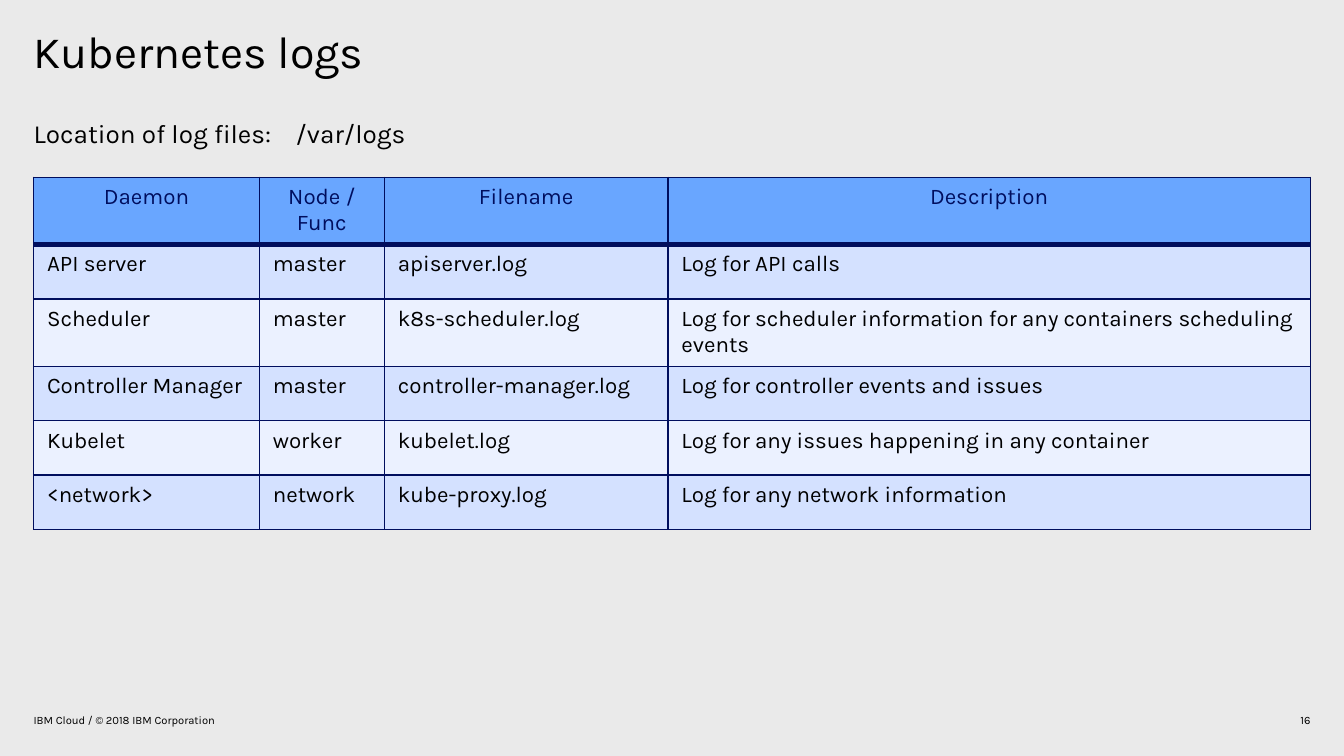
"""Build the Kubernetes logs slide with its table of log files."""
from lxml import etree
from pptx import Presentation
from pptx.dml.color import RGBColor
from pptx.enum.text import MSO_ANCHOR, PP_ALIGN
from pptx.oxml.ns import qn
from pptx.util import Inches, Pt

LEFT, CENTER, RIGHT = PP_ALIGN.LEFT, PP_ALIGN.CENTER, PP_ALIGN.RIGHT
TOP, MIDDLE = MSO_ANCHOR.TOP, MSO_ANCHOR.MIDDLE

THEME = {
    "font": "Karla",
    "background": "EAEAEA",
    "text": "000000",
    "navy": "000E5E",
    "header": "69A6FF",
    "bands": ("D4E1FF", "EBF1FF"),
    "title": 24,
    "body": 14,
    "table": 12,
    "footer": 6,
}

SLIDE_WIDTH = 10
SLIDE_HEIGHT = SLIDE_WIDTH * 9 / 16
TEXTS = [
    {"text": "Kubernetes logs", "at": (0.25, 0.22, 7.25, 0.51), "size": "title",
     "line_spacing": 0.9},
    {"text": "Location of log files:\t/var/logs", "at": (0.25, 0.87, 8.55, 0.35),
     "size": "body", "tab": 1.95},
    {"text": "IBM Cloud / © 2018 IBM Corporation", "at": (0.25, 5.28, 7, 0.15),
     "size": "footer", "anchor": MIDDLE},
    {"text": "16", "at": (7.5, 5.28, 2.25, 0.15), "size": "footer",
     "anchor": MIDDLE, "alignment": RIGHT},
]

TABLE_ORIGIN = (0.25, 1.32)
TABLE_HEIGHT = 2.43
COLUMN_WIDTHS = (1.68, 0.93, 2.11, 4.78)
THIN, THICK = 1, 3
LOG_ROWS = [
    ("Daemon", "Node / Func", "Filename", "Description"),
    ("API server", "master", "apiserver.log", "Log for API calls"),
    ("Scheduler", "master", "k8s-scheduler.log",
     "Log for scheduler information for any containers scheduling events"),
    ("Controller Manager", "master", "controller-manager.log",
     "Log for controller events and issues"),
    ("Kubelet", "worker", "kubelet.log",
     "Log for any issues happening in any container"),
    ("<network>", "network", "kube-proxy.log", "Log for any network information"),
]


def set_attributes(target, values):
    for name, value in values.items():
        setattr(target, name, value)


def set_font(para, size, color):
    set_attributes(para.font, {
        "name": THEME["font"], "size": Pt(THEME[size]), "bold": False})
    para.font.color.rgb = RGBColor.from_string(color)


def add_tab(para, position):
    properties = para._p.get_or_add_pPr()
    tabs = etree.SubElement(properties, qn("a:tabLst"))
    etree.SubElement(tabs, qn("a:tab"), pos=str(Inches(position)), algn="l")


def add_text(page, item):
    box = page.shapes.add_textbox(*map(Inches, item["at"]))
    set_attributes(box.text_frame, {
        "word_wrap": True, "vertical_anchor": item.get("anchor", TOP),
        "margin_left": 0, "margin_right": 0, "margin_top": 0, "margin_bottom": 0})
    para = box.text_frame.paragraphs[0]
    para.text = item["text"]
    if "tab" in item:
        add_tab(para, item["tab"])
    set_attributes(para, {
        "alignment": item.get("alignment", LEFT),
        "line_spacing": item.get("line_spacing", 1.0)})
    set_font(para, item["size"], THEME["text"])


def add_borders(cell, widths):
    properties = cell._tc.get_or_add_tcPr()
    for index, (side, width) in enumerate(widths.items()):
        line = etree.Element(qn(f"a:ln{side}"), w=str(Pt(width)))
        fill = etree.SubElement(line, qn("a:solidFill"))
        etree.SubElement(fill, qn("a:srgbClr"), val=THEME["navy"])
        properties.insert(index, line)


def add_log_table(page):
    size = (sum(COLUMN_WIDTHS), TABLE_HEIGHT)
    frame = page.shapes.add_table(
        len(LOG_ROWS), len(COLUMN_WIDTHS), *map(Inches, TABLE_ORIGIN + size))
    table = frame.table
    for column, width in zip(table.columns, COLUMN_WIDTHS):
        column.width = Inches(width)
    for row_index, values in enumerate(LOG_ROWS):
        is_header = row_index == 0
        fill = THEME["header"] if is_header else THEME["bands"][(row_index - 1) % 2]
        borders = {"L": THIN, "R": THIN,
                   "T": THICK if row_index == 1 else THIN,
                   "B": THICK if is_header else THIN}
        for column_index, value in enumerate(values):
            cell = table.cell(row_index, column_index)
            cell.text = value
            cell.fill.solid()
            cell.fill.fore_color.rgb = RGBColor.from_string(fill)
            add_borders(cell, borders)
            para = cell.text_frame.paragraphs[0]
            para.alignment = CENTER if is_header else LEFT
            set_font(para, "table", THEME["navy" if is_header else "text"])


def main():
    deck = Presentation()
    set_attributes(deck, {
        "slide_width": Inches(SLIDE_WIDTH), "slide_height": Inches(SLIDE_HEIGHT)})
    page = deck.slides.add_slide(deck.slide_layouts[6])
    page.background.fill.solid()
    page.background.fill.fore_color.rgb = RGBColor.from_string(THEME["background"])
    for item in TEXTS:
        add_text(page, item)
    add_log_table(page)
    deck.save("out.pptx")


if __name__ == "__main__":
    main()
